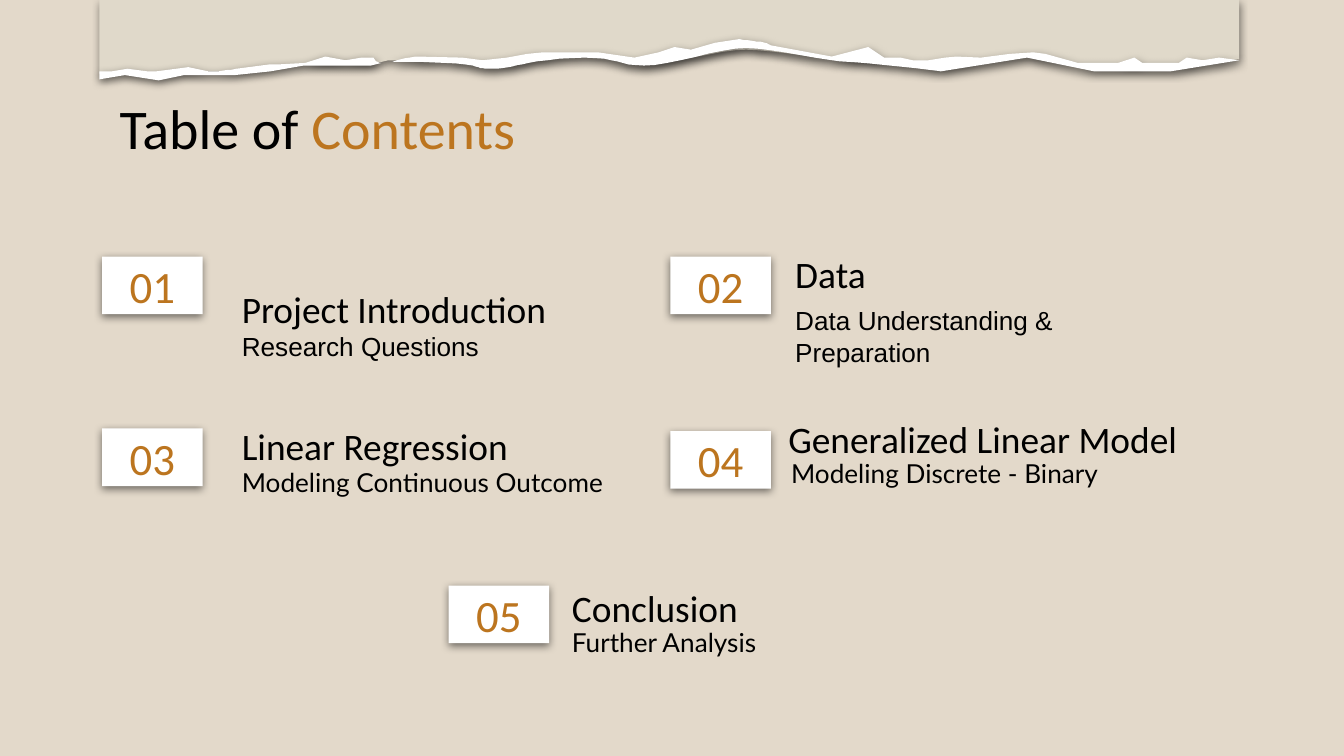
from dataclasses import dataclass
from lxml.etree import SubElement
from pptx import Presentation
from pptx.dml.color import RGBColor
from pptx.enum.shapes import MSO_SHAPE
from pptx.enum.text import MSO_ANCHOR, PP_ALIGN
from pptx.oxml.ns import qn
from pptx.util import Cm, Pt


@dataclass(frozen=True)
class Theme:
    background: str = "E3D9CA"
    paper: str = "E0D9CA"
    white: str = "FFFFFF"
    ink: str = "000000"
    accent: str = "BC751F"
    font: str = "Calibri"
    lato: str = "Lato"
    arial: str = "Arial"
    title: int = 30
    number: int = 24
    heading: int = 20
    detail: int = 14


THEME = Theme()

# Outlines in hundredths of a cm from the paper's corner:
# two numbers are a corner, six are a Bezier curve
PAPER = [
    (0, 0), (0, 140), (48, 135), (112, 140), (160, 135), (256, 135), (323, 127),
    (386, 122), (513, 122), (546, 114), (546, 114, 676, 114, 706, 122),
    (719, 122, 731, 124, 742, 124), (767, 124, 787, 122, 787, 122),
    (787, 122, 851, 107, 917, 107), (980, 107, 980, 122, 1029, 122),
    (1077, 122, 1173, 94, 1222, 94), (1270, 94, 1382, 114, 1415, 114),
    (1445, 114, 1590, 127, 1590, 127), (1753, 107), (1880, 127), (2024, 127),
    (2154, 112), (2154, 0),
]
RIGHT_TEAR = [
    (1209, 74), (1163, 81), (1118, 94), (1087, 89), (1057, 99), (1011, 109),
    (942, 99), (838, 99), (808, 102), (770, 109), (724, 114), (686, 109),
    (602, 107), (602, 107, 574, 109, 554, 117), (579, 117, 678, 117, 706, 124),
    (719, 130, 731, 130, 742, 130), (767, 130, 787, 124, 787, 124),
    (787, 124, 851, 109, 917, 109), (980, 109, 980, 124, 1029, 124),
    (1077, 124, 1173, 91, 1222, 91), (1270, 91, 1382, 117, 1415, 117),
    (1445, 117, 1590, 135, 1590, 135), (1753, 109), (1880, 135), (2024, 135),
    (2154, 114), (2116, 109), (2085, 114), (2055, 109), (2040, 119), (1971, 119),
    (1956, 109), (1925, 119), (1849, 119), (1788, 102), (1765, 99), (1720, 102),
    (1666, 109), (1620, 107), (1598, 109), (1567, 114), (1537, 114), (1514, 109),
    (1483, 109), (1453, 89), (1384, 107), (1270, 86),
    (1270, 86, 1255, 79, 1247, 79), (1240, 79, 1209, 74, 1209, 74),
]
LEFT_TEAR = [
    (427, 107), (389, 119), (335, 122), (320, 122), (259, 130),
    (259, 130, 229, 135, 221, 135), (206, 135), (168, 127), (107, 135), (91, 135),
    (53, 130), (23, 135), (0, 135), (0, 150), (48, 142), (112, 152), (160, 142),
    (256, 142), (323, 135), (386, 124), (513, 124), (533, 119),
    (521, 119, 518, 109, 518, 109), (495, 109), (465, 114),
]

# Number, badge corner, heading, its offset and width, detail, its offset, width and font
CARDS = [
    ("01", (1.93, 4.85), "Project Introduction", (2.39, 0.56), 8.05,
     "Research Questions", (2.39, 1.14), 6.07, THEME.arial),
    ("02", (12.67, 4.85), "Data", (2.11, -0.1), 8.05,
     "Data Understanding & Preparation", (2.11, 0.66), 6.07, THEME.arial),
    ("03", (1.93, 8.1), "Linear Regression", (2.39, -0.1), 8.05,
     "Modeling Continuous Outcome", (2.39, 0.46), 8.05, THEME.lato),
    ("04", (12.67, 8.15), "Generalized Linear Model", (1.98, -0.28), 10.41,
     "Modeling Discrete - Binary", (2.03, 0.25), 8.05, THEME.lato),
    ("05", (8.48, 11.07), "Conclusion", (2.08, 0), 8.05,
     "Further Analysis", (2.08, 0.53), 8.05, THEME.lato),
]
BADGE_W, BADGE_H, DETAIL_H = 1.9, 1.09, 1.6


def style_shape(sp, color):
    """Plain fill, no line, soft shadow below."""
    sp.fill.solid()
    sp.fill.fore_color.rgb = RGBColor.from_string(color)
    sp.line.fill.background()
    sp.shadow.inherit = False
    effects = sp._element.spPr.find(qn("a:effectLst"))
    shadow = SubElement(effects, qn("a:outerShdw"), blurRad=str(Pt(4.5)),
                        dist=str(Pt(1.5)), dir="5400000", algn="bl", rotWithShape="0")
    black = SubElement(shadow, qn("a:srgbClr"), val=THEME.ink)
    SubElement(black, qn("a:alpha"), val="50000")


def write(sp, runs, size, font, anchor, align=PP_ALIGN.LEFT):
    """Fill a shape with one paragraph of (text, color) runs."""
    tf = sp.text_frame
    tf.word_wrap = True
    tf.vertical_anchor = anchor
    tf.margin_left = tf.margin_right = tf.margin_top = tf.margin_bottom = Cm(0.25)
    p = tf.paragraphs[0]
    p.alignment = align
    for text, color in runs:
        r = p.add_run()
        r.text = text
        r.font.size = Pt(size)
        r.font.name = font
        r.font.color.rgb = RGBColor.from_string(color)


def flatten(outline, steps=8):
    """Turn corners and curves into a list of points."""
    points = []
    for part in outline:
        if len(part) == 2:
            points.append(part)
            continue
        x0, y0 = points[-1]
        x1, y1, x2, y2, x3, y3 = part
        for i in range(1, steps + 1):
            t = i / steps
            a, b, c, d = (1 - t) ** 3, 3 * t * (1 - t) ** 2, 3 * t * t * (1 - t), t ** 3
            points.append((a * x0 + b * x1 + c * x2 + d * x3,
                           a * y0 + b * y1 + c * y2 + d * y3))
    return points


def add_torn_paper(s, left, top):
    for outline, color in ((PAPER, THEME.paper), (RIGHT_TEAR, THEME.white),
                           (LEFT_TEAR, THEME.white)):
        points = flatten(outline)
        builder = s.shapes.build_freeform(*points[0], scale=Cm(0.01))
        builder.add_line_segments(points[1:], close=True)
        style_shape(builder.convert_to_shape(Cm(left), Cm(top)), color)


def add_title(s, left, top, width, height):
    sp = s.shapes.title
    sp.left, sp.top, sp.width, sp.height = Cm(left), Cm(top), Cm(width), Cm(height)
    write(sp, [("Table of ", THEME.ink), ("Contents", THEME.accent)],
          THEME.title, THEME.font, MSO_ANCHOR.TOP)


def add_card(s, number, corner, heading, heading_at, heading_w,
             detail, detail_at, detail_w, detail_font):
    left, top = corner
    # Number badge
    badge = s.shapes.add_shape(MSO_SHAPE.RECTANGLE, Cm(left), Cm(top),
                               Cm(BADGE_W), Cm(BADGE_H))
    style_shape(badge, THEME.white)
    write(badge, [(number, THEME.accent)], THEME.number, THEME.font,
          MSO_ANCHOR.MIDDLE, PP_ALIGN.CENTER)
    # Heading and detail
    for text, (dx, dy), width, height, size, font, anchor in (
            (heading, heading_at, heading_w, BADGE_H, THEME.heading, THEME.font,
             MSO_ANCHOR.BOTTOM),
            (detail, detail_at, detail_w, DETAIL_H, THEME.detail, detail_font,
             MSO_ANCHOR.TOP)):
        box = s.shapes.add_textbox(Cm(left + dx), Cm(top + dy), Cm(width), Cm(height))
        write(box, [(text, THEME.ink)], size, font, anchor)


def main():
    prs = Presentation()
    prs.slide_width, prs.slide_height = Cm(25.4), Cm(14.29)
    s = prs.slides.add_slide(prs.slide_layouts[5])
    s.background.fill.solid()
    s.background.fill.fore_color.rgb = RGBColor.from_string(THEME.background)
    add_torn_paper(s, 1.88, 0)
    add_title(s, 2.01, 1.52, 21.41, 1.6)
    for card in CARDS:
        add_card(s, *card)
    prs.save("out.pptx")


if __name__ == "__main__":
    main()
